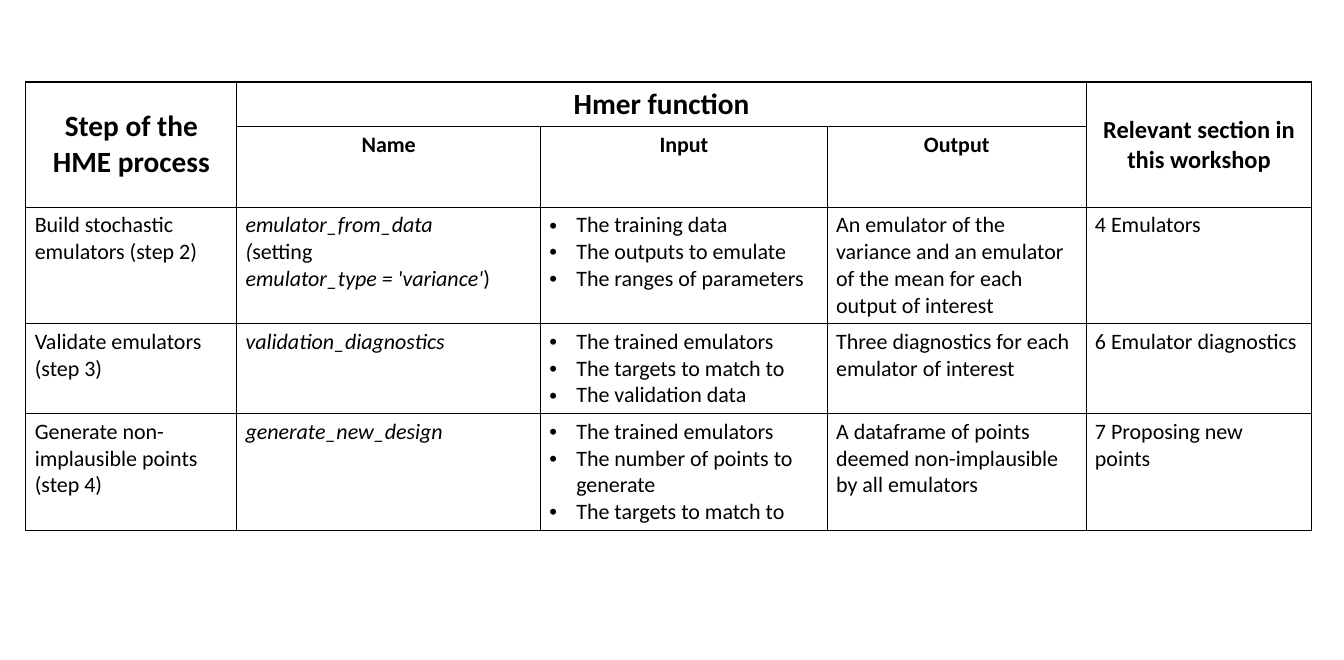
from lxml import etree
from pptx import Presentation, util as u
from pptx.dml.color import RGBColor
from pptx.enum import text
from pptx.oxml import ns

PX = 914400 // 88
BLACK = RGBColor(0, 0, 0)
WHITE = RGBColor(255, 255, 255)
CENTER = text.PP_ALIGN.CENTER
MIDDLE = text.MSO_ANCHOR.MIDDLE


def write(cell, content, size=18, bold=False, align=None, anchor=None, bullets=False):
    cell.vertical_anchor = anchor
    tf = cell.text_frame
    for n, line in enumerate(content.split("\n")):
        p = tf.paragraphs[0] if n == 0 else tf.add_paragraph()
        p.alignment = align
        if bullets:
            pPr = p._p.get_or_add_pPr()
            pPr.set("marL", str(27 * PX))
            pPr.set("indent", str(-27 * PX))
            etree.SubElement(pPr, ns.qn("a:buFont")).set("typeface", "Arial")
            etree.SubElement(pPr, ns.qn("a:buChar")).set("char", "•")
        for k, part in enumerate(line.split("*")):
            if part:
                r = p.add_run()
                r.text = part
                r.font.name = "Calibri"
                r.font.size = u.Pt(size)
                r.font.bold = bold
                r.font.italic = k % 2 == 1
                r.font.color.rgb = BLACK


def style(cell):
    cell.fill.solid()
    cell.fill.fore_color.rgb = WHITE
    tcPr = cell._tc.get_or_add_tcPr()
    for n, side in enumerate(("lnL", "lnR", "lnT", "lnB")):
        ln = etree.Element(ns.qn("a:" + side), w=str(u.Pt(1)))
        fill = etree.SubElement(ln, ns.qn("a:solidFill"))
        etree.SubElement(fill, ns.qn("a:srgbClr")).set("val", str(BLACK))
        tcPr.insert(n, ln)


prs = Presentation()
prs.slide_width, prs.slide_height = 1345 * PX, 660 * PX
s = prs.slides.add_slide(prs.slide_layouts[6])

widths = [211, 304, 287, 259, 226]
heights = [44, 81, 116, 90, 116]
table = s.shapes.add_table(
    len(heights), len(widths), 26 * PX, 82 * PX, sum(widths) * PX, sum(heights) * PX
).table
table.first_row = table.horz_banding = False
for column, width in zip(table.columns, widths):
    column.width = width * PX
for row, height in zip(table.rows, heights):
    row.height = height * PX
for cell in table.iter_cells():
    style(cell)

table.cell(0, 0).merge(table.cell(1, 0))
table.cell(0, 1).merge(table.cell(0, 3))
table.cell(0, 4).merge(table.cell(1, 4))

headings = [
    (0, 0, "Step of the HME process", 24, MIDDLE),
    (0, 1, "Hmer function", 24, None),
    (0, 4, "Relevant section in this workshop", 20, MIDDLE),
    (1, 1, "Name", 18, None),
    (1, 2, "Input", 18, None),
    (1, 3, "Output", 18, None),
]
for row, col, heading, size, anchor in headings:
    write(table.cell(row, col), heading, size=size, bold=True, align=CENTER, anchor=anchor)

steps = [
    (
        "Build stochastic emulators (step 2)",
        "*emulator_from_data*\n*(*setting\n*emulator_type = 'variance'*)",
        "The training data\nThe outputs to emulate\nThe ranges of parameters",
        "An emulator of the variance and an emulator of the mean for each output of interest",
        "4 Emulators",
    ),
    (
        "Validate emulators\n(step 3)",
        "*validation_diagnostics*",
        "The trained emulators\nThe targets to match to\nThe validation data",
        "Three diagnostics for each emulator of interest",
        "6 Emulator diagnostics",
    ),
    (
        "Generate non-implausible points\n(step 4)",
        "*generate_new_design*",
        "The trained emulators\nThe number of points to generate\nThe targets to match to",
        "A dataframe of points deemed non-implausible by all emulators",
        "7 Proposing new points",
    ),
]
for row, step in enumerate(steps, start=2):
    for col, content in enumerate(step):
        write(table.cell(row, col), content, bullets=col == 2)

prs.save("out.pptx")
